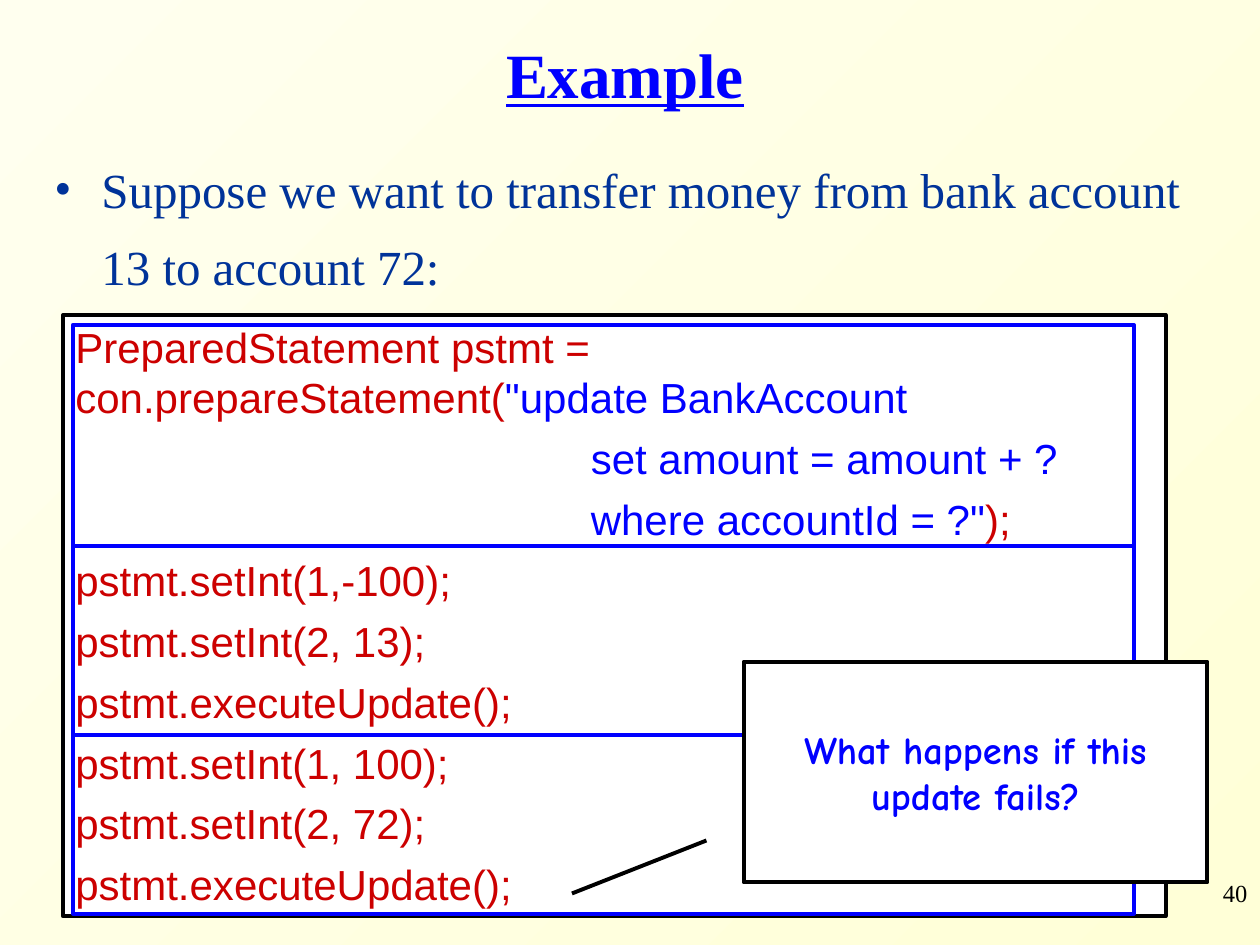
from lxml import etree
from pptx import Presentation
from pptx.dml.color import RGBColor
from pptx.enum.shapes import MSO_SHAPE
from pptx.enum.text import MSO_ANCHOR, MSO_AUTO_SIZE, PP_ALIGN
from pptx.oxml.ns import qn
from pptx.util import Cm, Pt

RECT, CALLOUT = MSO_SHAPE.RECTANGLE, MSO_SHAPE.LINE_CALLOUT_1
LEFT, CENTER, RIGHT = PP_ALIGN.LEFT, PP_ALIGN.CENTER, PP_ALIGN.RIGHT
TOP, MIDDLE = MSO_ANCHOR.TOP, MSO_ANCHOR.MIDDLE
BLACK = RGBColor(0x00, 0x00, 0x00)
WHITE = RGBColor(0xFF, 0xFF, 0xFF)
BLUE = RGBColor(0x00, 0x00, 0xFF)
NAVY = RGBColor(0x00, 0x33, 0x99)
RED = RGBColor(0xCC, 0x00, 0x00)
CREAM = RGBColor(0xFF, 0xFF, 0xEF)
PALE_YELLOW = RGBColor(0xFF, 0xFF, 0xD7)
SERIF, SANS, COMIC = "Times New Roman", "Arial", "Comic Neue"

SQL_INDENT = 10.39
# Each line: left indent in cm, then (text, colour) runs
CODE = [
    (0, [("PreparedStatement pstmt =\vcon.prepareStatement(", RED),
         ('"update BankAccount', BLUE)]),
    (SQL_INDENT, [("set amount = amount + ?", BLUE)]),
    (SQL_INDENT, [('where accountId = ?"', BLUE), (");", RED)]),
] + [(0, [(line, RED)]) for line in (
    "pstmt.setInt(1,-100);", "pstmt.setInt(2, 13);", "pstmt.executeUpdate();",
    "pstmt.setInt(1, 100);", "pstmt.setInt(2, 72);", "pstmt.executeUpdate();")]
STEP_EDGES = [6.55, 11, 14.81, 18.42]


def place(s, x, y, w, h):
    s.left, s.top, s.width, s.height = Cm(x), Cm(y), Cm(w), Cm(h)


def set_frame(s, anchor=TOP):
    tf = s.text_frame
    tf.word_wrap = True
    tf.auto_size = MSO_AUTO_SIZE.NONE
    tf.vertical_anchor = anchor
    return tf


def write(p, text, size, font, color, align=LEFT, bold=False,
          underline=False, spacing=1.0, before=0):
    """Append text to a paragraph; a vertical tab becomes a line break."""
    p.alignment, p.line_spacing, p.space_before = align, spacing, Pt(before)
    for i, part in enumerate(text.split("\v")):
        if i:
            p.add_line_break()
        r = p.add_run()
        r.text = part
        f = r.font
        f.size, f.name, f.bold, f.underline = Pt(size), font, bold, underline
        f.color.rgb = color


def indent(p, left, first=0):
    pPr = p._p.get_or_add_pPr()
    pPr.set("marL", str(Cm(left)))
    pPr.set("indent", str(Cm(first)))
    return pPr


def add_bullet(p, char):
    pPr = indent(p, 0.95, -0.95)
    etree.SubElement(pPr, qn("a:buFont")).set("typeface", SERIF)
    etree.SubElement(pPr, qn("a:buChar")).set("char", char)


def add_box(slide, kind, x, y, w, h, line, fill=None):
    s = slide.shapes.add_shape(kind, Cm(x), Cm(y), Cm(w), Cm(h))
    s.shadow.inherit = False
    if fill is None:
        s.fill.background()
    else:
        s.fill.solid()
        s.fill.fore_color.rgb = fill
    s.line.color.rgb = line
    s.line.width = Pt(2.25)
    return s


def set_background(slide):
    fill = slide.background.fill
    fill.gradient()
    fill.gradient_angle = 315
    for stop, color in zip(fill.gradient_stops, (CREAM, PALE_YELLOW)):
        stop.color.rgb = color


def add_title_and_body(slide):
    title, body = slide.placeholders
    place(title, 2.54, 0.43, 20.12, 2.34)
    write(set_frame(title, MIDDLE).paragraphs[0], "Example", 36, SERIF, BLUE,
          align=CENTER, bold=True, underline=True, spacing=0.85)
    place(body, 0.84, 2.74, 23.93, 13.54)
    p = set_frame(body).paragraphs[0]
    write(p, "Suppose we want to transfer money from bank account 13 to "
          "account 72:", 28, SERIF, NAVY, spacing=1.3, before=7)
    add_bullet(p, "•")


def add_code(slide):
    tf = set_frame(add_box(slide, RECT, 1.27, 6.35, 22.23, 12.12, BLACK, WHITE))
    for i, (left, runs) in enumerate(CODE):
        p = tf.add_paragraph() if i else tf.paragraphs[0]
        for text, color in runs:
            write(p, text, 24, SANS, color, before=6)
        indent(p, left)
    for top, bottom in zip(STEP_EDGES, STEP_EDGES[1:]):
        add_box(slide, RECT, 1.47, top, 21.39, bottom - top, BLUE)


def add_question(slide):
    s = add_box(slide, CALLOUT, 14.99, 13.34, 9.35, 4.45, BLACK, WHITE)
    for i, value in enumerate((0.81, -0.08, 1.05, -0.37)):
        s.adjustments[i] = value
    write(set_frame(s, MIDDLE).paragraphs[0],
          "What happens if this update fails?", 22, COMIC, BLUE,
          align=CENTER, bold=True)


def add_slide_number(slide):
    s = slide.shapes.add_textbox(Cm(20.12), Cm(17.58), Cm(5.28), Cm(1.27))
    write(set_frame(s).paragraphs[0], "40", 14, SERIF, BLACK, align=RIGHT)


def main():
    prs = Presentation()
    prs.slide_width, prs.slide_height = Cm(25.4), Cm(19.05)
    slide = prs.slides.add_slide(prs.slide_layouts[1])
    set_background(slide)
    add_slide_number(slide)
    add_title_and_body(slide)
    add_code(slide)
    add_question(slide)
    prs.save("out.pptx")


if __name__ == "__main__":
    main()
